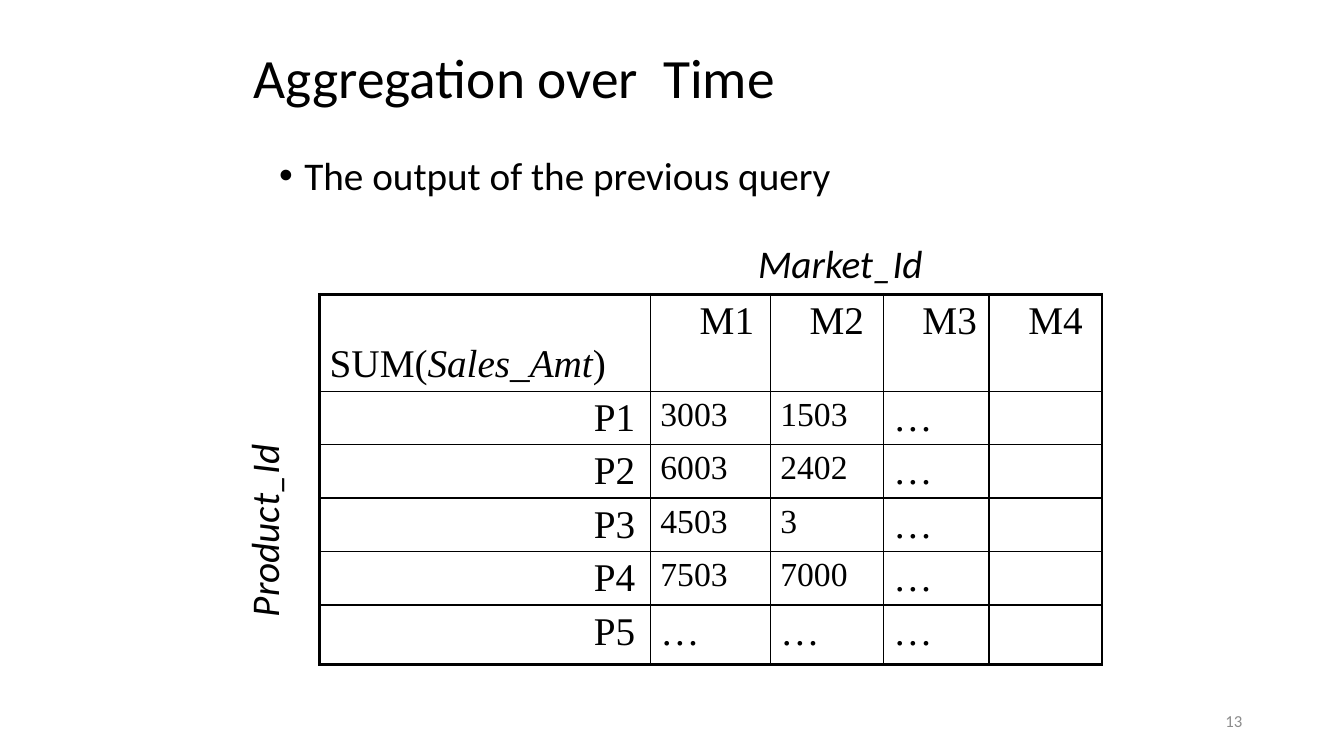
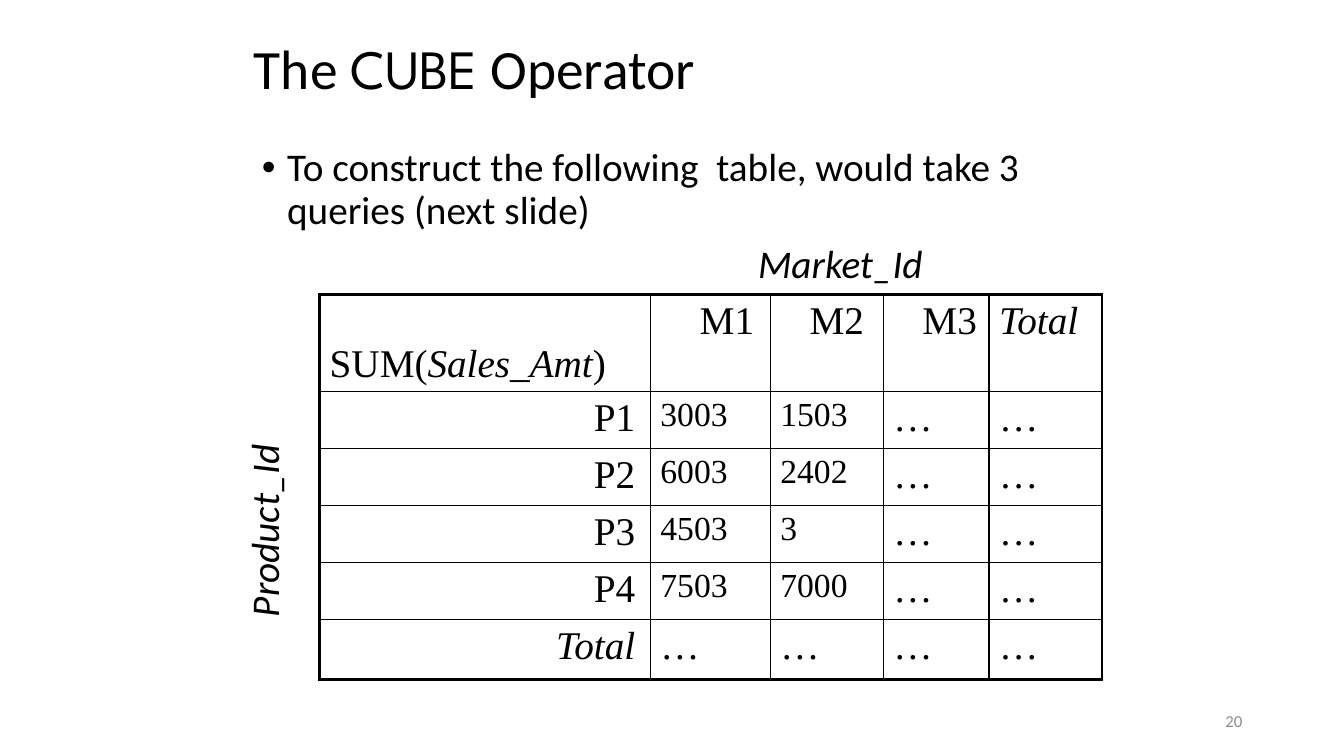
from lxml.etree import SubElement
from pptx import Presentation
from pptx.dml.color import RGBColor
from pptx.enum.text import MSO_ANCHOR as Anchor, MSO_AUTO_SIZE as AutoSize, PP_ALIGN as Align
from pptx.oxml.ns import qn
from pptx.util import Inches, Pt

COLORS = {"ink": "000000", "page_number": "8C8C8C"}
SANS, SERIF, DISPLAY = "Calibri", "Times New Roman", "League Spartan"
COLUMN_WIDTHS = [3.28, 1.19, 1.12, 1.05, 1.12]
ROW_HEIGHTS = [0.96, 0.53, 0.53, 0.53, 0.53, 0.59]
OUTER_LINE, INNER_LINE = 2.25, 1
SALES = [["3003", "1503"], ["6003", "2402"], ["4503", "3"], ["7503", "7000"]]


def write(paragraph, runs, size, family=SANS, color="ink", italic=False):
    """Fill a paragraph with (text, overrides) runs on one common font."""
    font = paragraph.font
    font.size, font.name, font.italic, font.bold = Pt(size), family, italic, False
    font.color.rgb = RGBColor.from_string(COLORS[color])
    for text, overrides in runs:
        run = paragraph.add_run()
        run.text = text
        for attribute, value in overrides.items():
            setattr(run.font, attribute, value)


def add_text(slide, place, runs, size, anchor=Anchor.TOP, wrap=True, **style):
    """Add a text box and return its shape."""
    box = slide.shapes.add_textbox(*map(Inches, place))
    frame = box.text_frame
    frame.word_wrap, frame.vertical_anchor = wrap, anchor
    frame.auto_size = AutoSize.NONE if wrap else AutoSize.SHAPE_TO_FIT_TEXT
    write(frame.paragraphs[0], runs, size, **style)
    return box


def add_title(slide, top, runs):
    """Add the slide title."""
    title = add_text(slide, (2.42, top, 8.5, 0.75), runs, 39.6, Anchor.MIDDLE)
    title.text_frame.paragraphs[0].line_spacing = 0.9


def add_bullet(slide, place, text):
    """Add the bulleted statement above the table."""
    statement = add_text(slide, place, [(text, {})], 28).text_frame.paragraphs[0]
    statement.line_spacing, statement.space_before = 0.9, Pt(10)
    properties = statement._p.get_or_add_pPr()
    properties.set("marL", str(Inches(0.25)))
    properties.set("indent", str(Inches(-0.25)))
    bullet_font = properties.makeelement(qn("a:buFont"), {"typeface": "Arial"})
    bullet = properties.makeelement(qn("a:buChar"), {"char": "•"})
    defaults = properties.find(qn("a:defRPr"))
    defaults.addprevious(bullet_font)
    defaults.addprevious(bullet)


def add_page_number(slide, number):
    """Add the page number at the lower right."""
    footer = add_text(slide, (9.42, 6.95, 3, 0.4), [(number, {})], 12,
                      Anchor.MIDDLE, color="page_number")
    footer.text_frame.paragraphs[0].alignment = Align.RIGHT


def add_axis_label(slide, place, text, rotation=0):
    """Add an italic label naming one axis of the table."""
    add_text(slide, place, [(text, {})], 28, wrap=False, italic=True).rotation = rotation


def border_cell(cell, widths):
    """Draw the left, right, top and bottom borders of a cell."""
    properties = cell._tc.get_or_add_tcPr()
    for side, width in zip("LRTB", widths):
        line = SubElement(properties, qn(f"a:ln{side}"), w=str(Pt(width)))
        fill = SubElement(line, qn("a:solidFill"))
        SubElement(fill, qn("a:srgbClr"), val=COLORS["ink"])
    cell.fill.background()


def fill_cell(cell, text, row, column):
    """Write one cell, placed by its role in the cross table."""
    paragraph = cell.text_frame.paragraphs[0]
    runs = [(text, {"italic": text == "Total"})] if text else []
    if row == column == 0:
        cell.vertical_anchor = Anchor.BOTTOM
        runs = [("SUM(", {}), ("Sales_Amt", {"italic": True}), (")", {})]
    elif column == 0:
        paragraph.alignment = Align.RIGHT
        cell.margin_right = Inches(0.15)
    elif row == 0 and text != "Total":
        cell.margin_left = Inches(0.49 if column == 1 else 0.39)
    write(paragraph, runs, 24 if text.isdigit() else 28, SERIF)


def add_cross_table(slide, rows):
    """Add the sales table with a heavy frame and thin inner lines."""
    last_row, last_column = len(rows) - 1, len(rows[0]) - 1
    table = slide.shapes.add_table(
        len(rows), len(rows[0]), Inches(3.17), Inches(2.92),
        Inches(sum(COLUMN_WIDTHS)), Inches(sum(ROW_HEIGHTS))).table
    table.first_row = table.horz_banding = False
    for column, width in zip(table.columns, COLUMN_WIDTHS):
        column.width = Inches(width)
    for band, height in zip(table.rows, ROW_HEIGHTS):
        band.height = Inches(height)
    for row, texts in enumerate(rows):
        for column, text in enumerate(texts):
            cell = table.cell(row, column)
            on_frame = (column == 0, column == last_column, row == 0, row == last_row)
            border_cell(cell, [OUTER_LINE if edge else INNER_LINE for edge in on_frame])
            fill_cell(cell, text, row, column)


def sales_rows(last_column, last_row, last_value):
    """Return the table texts for the given last headings and last column value."""
    header = ["", "M1", "M2", "M3", last_column]
    products = [[f"P{number}", *sales, "…", last_value]
                for number, sales in enumerate(SALES, 1)]
    return [header, *products, [last_row, "…", "…", "…", last_value]]


def add_sales_slide(deck, number, title_top, title, bullet_place, bullet, rows):
    """Add one slide with title, statement and labelled sales table."""
    slide = deck.slides.add_slide(deck.slide_layouts[6])
    add_page_number(slide, number)
    add_title(slide, title_top, title)
    add_bullet(slide, bullet_place, bullet)
    add_cross_table(slide, rows)
    add_axis_label(slide, (7.42, 2.33, 1.84, 0.57), "Market_Id")
    add_axis_label(slide, (1.63, 4.95, 1.97, 0.57), "Product_Id", 270)


def main():
    """Build and save the deck."""
    deck = Presentation()
    deck.slide_width, deck.slide_height = Inches(13.33), Inches(7.5)
    add_sales_slide(deck, "13", 0.42, [("Aggregation over  Time", {})],
                    (2.67, 1.5, 8.42, 0.67), "The output of the previous query",
                    sales_rows("M4", "P5", ""))
    add_sales_slide(deck, "20", 0.33,
                    [("The ", {}), ("CUBE", {"name": DISPLAY}), (" Operator", {})],
                    (2.5, 1.42, 8.42, 1),
                    "To construct the following  table, would take 3 queries (next slide)",
                    sales_rows("Total", "Total", "…"))
    deck.save("out.pptx")


if __name__ == "__main__":
    main()
